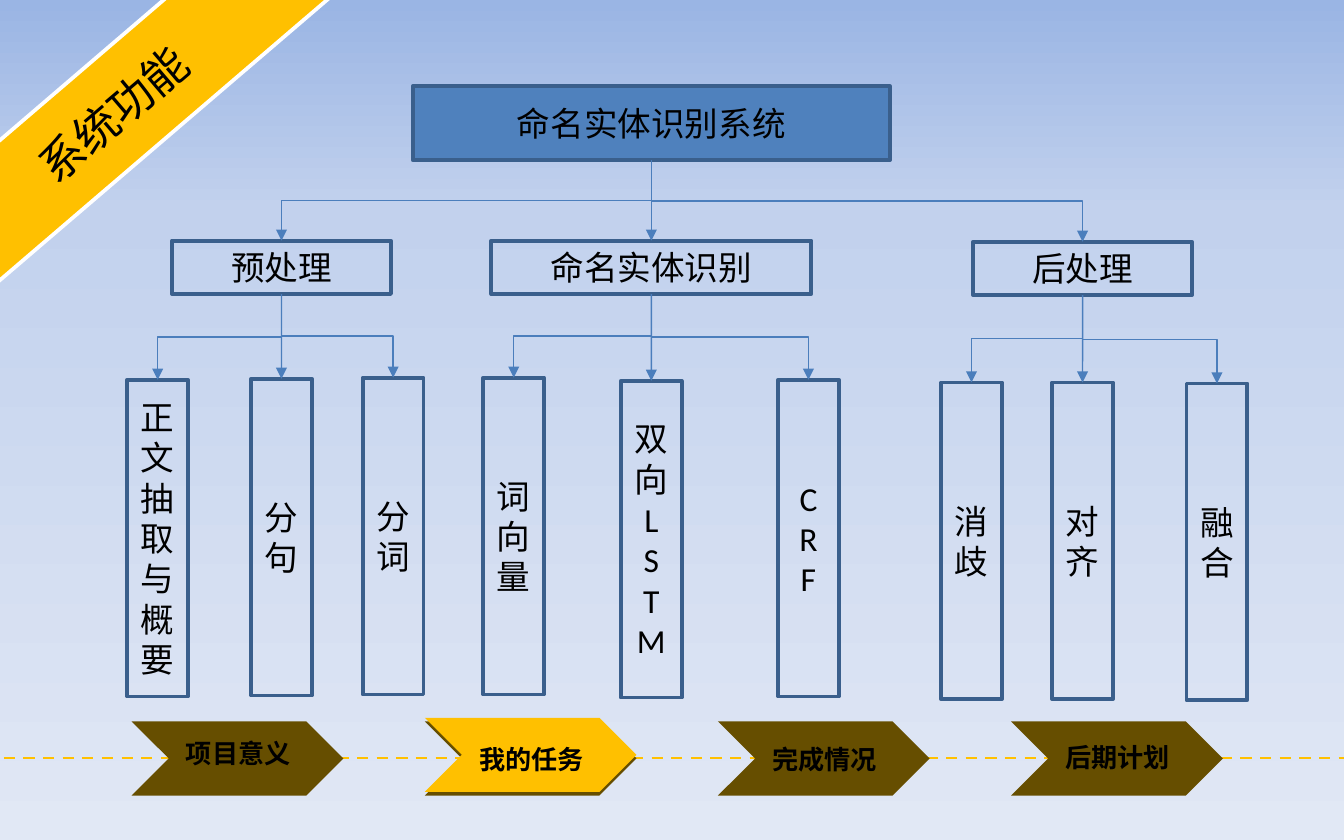
from copy import deepcopy
from dataclasses import dataclass

from lxml import etree
from pptx import Presentation
from pptx import util as u
from pptx.dml.color import RGBColor
from pptx.enum import dml, shapes, text
from pptx.oxml.ns import qn

COLOURS = {
    "sky": "9AB5E4",
    "haze": "C2D1ED",
    "mist": "E1E8F5",
    "gold": "FFC000",
    "bronze": "664E00",
    "blue": "4F81BD",
    "border": "3A5F8C",
    "link": "4B7EBC",
    "white": "FFFFFF",
    "black": "000000",
}
CHINESE_FONT = "Noto Sans CJK SC"
STEP_PITCH = 5.54
LEAF_WIDTH, LEAF_HEIGHT = 1.15, 5.99


@dataclass
class Node:
    caption: str
    centre: float
    top: float
    width: float = LEAF_WIDTH
    height: float = LEAF_HEIGHT
    fill: str | None = None
    children: tuple["Node", ...] = ()


@dataclass
class Step:
    caption: str
    label_top: float
    active: bool = False


SYSTEM = Node("命名实体识别系统", 12.31, 1.63, 9.02, 1.4, "blue", (
    Node("预处理", 5.32, 4.55, 4.14, 1.01, children=(
        Node("正文抽取与概要", 2.98, 7.18),
        Node("分句", 5.32, 7.16),
        Node("分词", 7.43, 7.14),
    )),
    Node("命名实体识别", 12.31, 4.55, 6.05, 1.01, children=(
        Node("词向量", 9.71, 7.14),
        Node("双向L\nS\nTM", 12.31, 7.2),
        Node("CR\nF", 15.28, 7.18),
    )),
    Node("后处理", 20.46, 4.57, 4.14, 1.01, children=(
        Node("消歧", 18.36, 7.23),
        Node("对齐", 20.46, 7.23),
        Node("融合", 23, 7.25),
    )),
))
STEPS = (
    Step("项目意义", 13.82),
    Step("我的任务", 13.92, active=True),
    Step("完成情况", 13.92),
    Step("后期计划", 13.89),
)


def colour(name: str) -> RGBColor:
    return RGBColor.from_string(COLOURS[name])


def write_text(frame, caption: str, *, size: float, font: str, bold: bool = False,
               wrap: bool = True, anchor=text.MSO_ANCHOR.MIDDLE) -> None:
    frame.word_wrap = wrap
    frame.vertical_anchor = anchor
    for index, words in enumerate(caption.split("\n")):
        para = frame.add_paragraph() if index else frame.paragraphs[0]
        para.alignment = text.PP_ALIGN.CENTER
        span = para.add_run()
        span.text = words
        span.font.size = u.Pt(size)
        span.font.bold = bold
        span.font.color.rgb = colour("black")
        span.font.name = font
        etree.SubElement(span.font._element, qn("a:ea"), typeface=CHINESE_FONT)


def add_box(page, kind, left: float, top: float, width: float, height: float,
            fill: str | None = None, border: str | None = None):
    box = page.shapes.add_shape(kind, u.Cm(left), u.Cm(top), u.Cm(width), u.Cm(height))
    box.shadow.inherit = False
    if fill:
        box.fill.solid()
        box.fill.fore_color.rgb = colour(fill)
    else:
        box.fill.background()
    if border:
        box.line.color.rgb = colour(border)
        box.line.width = u.Pt(2)
    else:
        box.line.fill.background()
    return box


def style_line(line, tint: str, width: float, *, dashed: bool = False, arrow: bool = False) -> None:
    line.line.color.rgb = colour(tint)
    line.line.width = u.Pt(width)
    if dashed:
        line.line.dash_style = dml.MSO_LINE.DASH
    properties = line.element.spPr
    if arrow:
        etree.SubElement(properties.find(qn("a:ln")), qn("a:tailEnd"), type="triangle")
    etree.SubElement(properties, qn("a:effectLst"))


def paint_background(page) -> None:
    fill = page.background.fill
    fill.gradient()
    fill.gradient_angle = 270
    stops = page.element.find(".//" + qn("a:gsLst"))
    stops.insert(1, deepcopy(stops[0]))
    for stop, (position, tint) in zip(
            fill.gradient_stops, ((0, "sky"), (0.25, "haze"), (1, "mist"))):
        stop.position = position
        stop.color.rgb = colour(tint)


def draw_steps(page, steps: tuple[Step, ...]) -> None:
    rail = page.shapes.add_connector(
        shapes.MSO_CONNECTOR.STRAIGHT, u.Cm(-0.3), u.Cm(14.33), u.Cm(25.8), u.Cm(14.33))
    style_line(rail, "gold", 1.5, dashed=True)
    for index, step in enumerate(steps):
        left = 2.49 + index * STEP_PITCH
        layers = [(13.64, "bronze")] + [(13.57, "gold")] * step.active
        for top, fill in layers:
            add_box(page, shapes.MSO_SHAPE.CHEVRON, left, top, 4, 1.4, fill)
        label = page.shapes.add_textbox(
            u.Cm(left + 0.76), u.Cm(step.label_top), u.Cm(2.51), u.Cm(0.86))
        write_text(label.text_frame, step.caption, size=14, font=CHINESE_FONT,
                   bold=True, wrap=False, anchor=text.MSO_ANCHOR.TOP)
        label.text_frame.auto_size = text.MSO_AUTO_SIZE.SHAPE_TO_FIT_TEXT


def draw_ribbon(page, caption: str) -> None:
    ribbon = add_box(page, shapes.MSO_SHAPE.RECTANGLE, -2.87, 1.14, 10.01, 2.01, "gold", "white")
    ribbon.rotation = 319.4
    write_text(ribbon.text_frame, caption, size=24, font=CHINESE_FONT)


def draw_link(page, parent: Node, child: Node, parent_box, child_box) -> None:
    straight = parent.centre == child.centre
    kind = shapes.MSO_CONNECTOR.STRAIGHT if straight else shapes.MSO_CONNECTOR.ELBOW
    start = parent.top + parent.height
    link = page.shapes.add_connector(
        kind, u.Cm(parent.centre), u.Cm(start), u.Cm(child.centre), u.Cm(child.top))
    link.begin_connect(parent_box, 2)
    link.end_connect(child_box, 0)
    if not straight:
        drop, reach = child.top - start, abs(child.centre - parent.centre)
        link.left = u.Cm((parent.centre + child.centre - drop) / 2)
        link.top = u.Cm((start + child.top - reach) / 2)
        link.width, link.height = u.Cm(drop), u.Cm(reach)
        rightward = child.centre > parent.centre
        frame = link.element.spPr.find(qn("a:xfrm"))
        frame.set("rot", "16200000" if rightward else "5400000")
        frame.set("flipH", "1" if rightward else "0")
    style_line(link, "link", 0.75, arrow=True)


def draw_tree(page, node: Node):
    box = add_box(page, shapes.MSO_SHAPE.RECTANGLE, node.centre - node.width / 2, node.top,
                  node.width, node.height, node.fill, "border")
    write_text(box.text_frame, node.caption, size=18, font="Calibri")
    for child in node.children:
        draw_link(page, node, child, box, draw_tree(page, child))
    return box


def main() -> None:
    deck = Presentation()
    deck.slide_width, deck.slide_height = u.Cm(25.4), u.Cm(15.88)
    page = deck.slides.add_slide(deck.slide_layouts[6])
    paint_background(page)
    draw_steps(page, STEPS)
    draw_ribbon(page, "系统功能")
    draw_tree(page, SYSTEM)
    deck.save("out.pptx")


if __name__ == "__main__":
    main()
